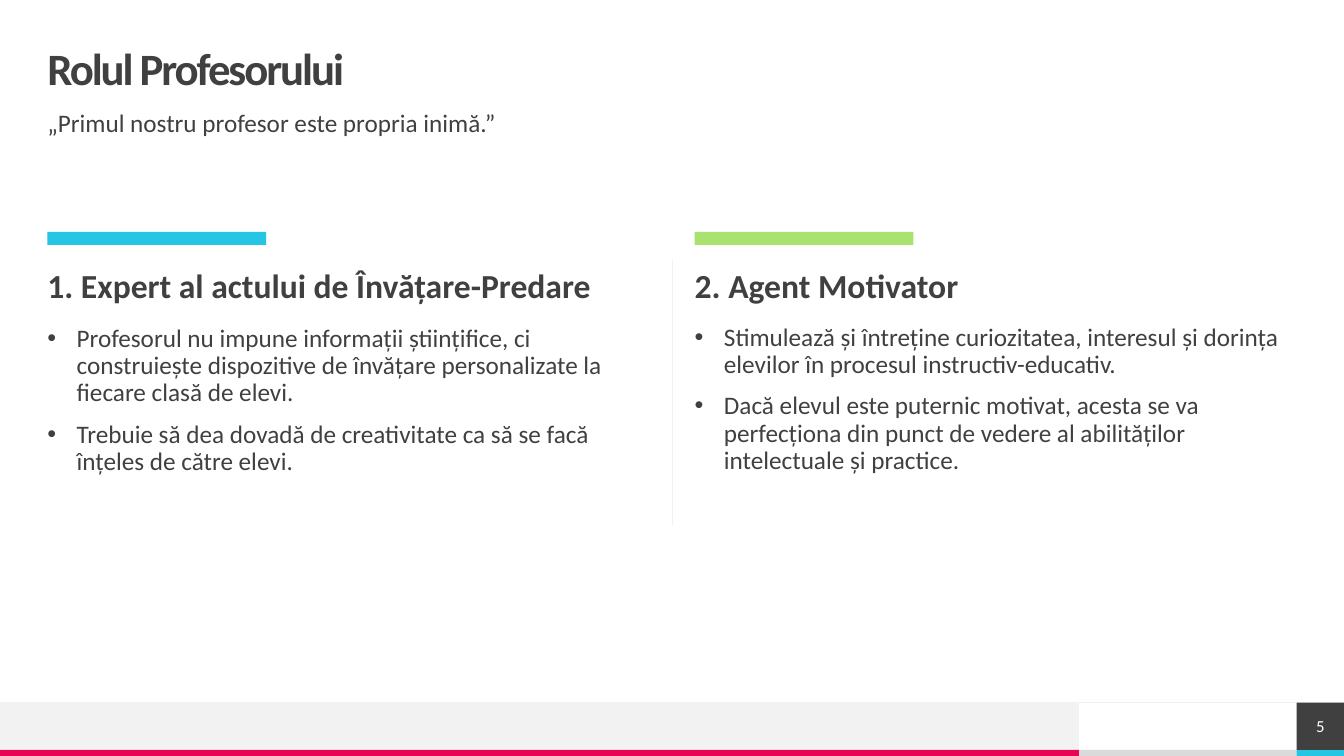
from lxml import etree
from pptx import Presentation
from pptx.dml.color import RGBColor
from pptx.enum import shapes, text
from pptx.oxml import ns
from pptx.util import Inches, Pt

DARK = RGBColor(0x40, 0x40, 0x40)
PALE = RGBColor(0xF2, 0xF2, 0xF2)
GRAY = RGBColor(0xDA, 0xDA, 0xDA)
CYAN = RGBColor(0x25, 0xC6, 0xE3)
GREEN = RGBColor(0xA9, 0xE2, 0x6F)
PINK = RGBColor(0xE8, 0x05, 0x54)
WHITE = RGBColor(0xFF, 0xFF, 0xFF)
FONT = "Calibri"

TITLE = "Rolul Profesorului"
SUBTITLE = "„Primul nostru profesor este propria inimă.”"
COLUMNS = [
    (CYAN, 3.23, "1. Expert al actului de Învățare-Predare", [
        "Profesorul nu impune informații științifice, ci construiește dispozitive "
        "de învățare personalizate la fiecare clasă de elevi.",
        "Trebuie să dea dovadă de creativitate ca să se facă înțeles de către elevi.",
    ]),
    (GREEN, 3.22, "2. Agent Motivator", [
        "Stimulează și întreține curiozitatea, interesul și dorința elevilor în "
        "procesul instructiv-educativ.",
        "Dacă elevul este puternic motivat, acesta se va perfecționa din punct de "
        "vedere al abilităților intelectuale și practice.",
    ]),
]
PAGE = "5"

WIDTH, HEIGHT = 13.33, 7.5
MARGIN = 0.47
CONTENT_WIDTH = 12.4
COLUMN_WIDTH, COLUMN_STEP = 5.98, 6.42
FOOTER_TOP, FOOTER_HEIGHT = 6.97, 0.47
STRIP_TOP, STRIP_HEIGHT = 7.44, 0.06
FOOTER_WIDTH, PAGE_LEFT = 10.7, 12.86
BULLET_INDENT = 0.29

presentation = Presentation()
presentation.slide_width, presentation.slide_height = Inches(WIDTH), Inches(HEIGHT)
slide = presentation.slides.add_slide(presentation.slide_layouts[5])


def add_bar(left, top, width, height, color):
    shape = slide.shapes.add_shape(
        shapes.MSO_SHAPE.RECTANGLE, *map(Inches, (left, top, width, height)))
    shape.shadow.inherit = False
    shape.fill.solid()
    shape.fill.fore_color.rgb = color
    shape.line.fill.background()
    return shape


def add_rule(*ends):
    line = slide.shapes.add_connector(
        shapes.MSO_CONNECTOR.STRAIGHT, *map(Inches, ends))
    line.line.color.rgb = PALE
    line.line.width = Pt(0.5)
    etree.SubElement(line._element.spPr, ns.qn("a:effectLst"))


def add_run(paragraph, words, size, color=DARK, bold=False):
    run = paragraph.add_run()
    run.text = words
    formats = {"name": FONT, "size": Pt(size), "bold": bold}
    for name, value in formats.items():
        setattr(run.font, name, value)
    run.font.color.rgb = color
    return run


def set_frame(shape, anchor=text.MSO_ANCHOR.TOP):
    frame = shape.text_frame
    formats = {"word_wrap": True, "auto_size": text.MSO_AUTO_SIZE.NONE,
               "vertical_anchor": anchor, "margin_left": 0, "margin_top": 0,
               "margin_right": 0, "margin_bottom": 0}
    for name, value in formats.items():
        setattr(frame, name, value)
    return frame


def add_bullet(paragraph):
    properties = paragraph._p.get_or_add_pPr()
    properties.set("marL", str(Inches(BULLET_INDENT)))
    properties.set("indent", str(-Inches(BULLET_INDENT)))
    etree.SubElement(properties, ns.qn("a:buFont"), typeface="Arial")
    etree.SubElement(properties, ns.qn("a:buChar"), char="•")


def add_body(left, top, width, height, lines, size, bold=False, bullets=False):
    box = slide.shapes.add_textbox(*map(Inches, (left, top, width, height)))
    frame = set_frame(box)
    for index, words in enumerate(lines):
        paragraph = frame.add_paragraph() if index else frame.paragraphs[0]
        paragraph.line_spacing = 0.9
        paragraph.space_before = Pt(10)
        if bullets:
            add_bullet(paragraph)
        add_run(paragraph, words, size, bold=bold)


# Footer
add_bar(FOOTER_WIDTH, STRIP_TOP, PAGE_LEFT - FOOTER_WIDTH, STRIP_HEIGHT, GRAY)
add_bar(0, FOOTER_TOP, FOOTER_WIDTH, FOOTER_HEIGHT, PALE)
add_bar(0, STRIP_TOP, FOOTER_WIDTH, STRIP_HEIGHT, PINK)
add_bar(PAGE_LEFT, STRIP_TOP, WIDTH - PAGE_LEFT, STRIP_HEIGHT, CYAN)
add_rule(WIDTH, FOOTER_TOP, 0, FOOTER_TOP)

page_box = add_bar(PAGE_LEFT, FOOTER_TOP, WIDTH - PAGE_LEFT, FOOTER_HEIGHT, DARK)
page = set_frame(page_box, text.MSO_ANCHOR.MIDDLE).paragraphs[0]
page.alignment = text.PP_ALIGN.CENTER
add_run(page, PAGE, 12, WHITE)

# Heading
title = slide.shapes.title
title.left, title.top, title.width, title.height = map(
    Inches, (MARGIN, 0.47, CONTENT_WIDTH, 0.47))
heading = set_frame(title, text.MSO_ANCHOR.MIDDLE).paragraphs[0]
heading.alignment = text.PP_ALIGN.LEFT
heading.line_spacing = 0.9
title_run = add_run(heading, TITLE, 32, bold=True)
title_run._r.get_or_add_rPr().set("spc", "-150")
add_body(MARGIN, 1.1, CONTENT_WIDTH, 0.39, [SUBTITLE], 18)

# Columns
add_rule(6.67, 2.58, 6.67, 5.22)
for index, (color, list_top, topic, points) in enumerate(COLUMNS):
    left = MARGIN + index * COLUMN_STEP
    add_bar(left, 2.3, 2.17, 0.13, color)
    add_body(left, 2.67, COLUMN_WIDTH, 0.39, [topic], 24, bold=True)
    add_body(left, list_top, COLUMN_WIDTH, 2.4, points, 18, bullets=True)

presentation.save("out.pptx")
